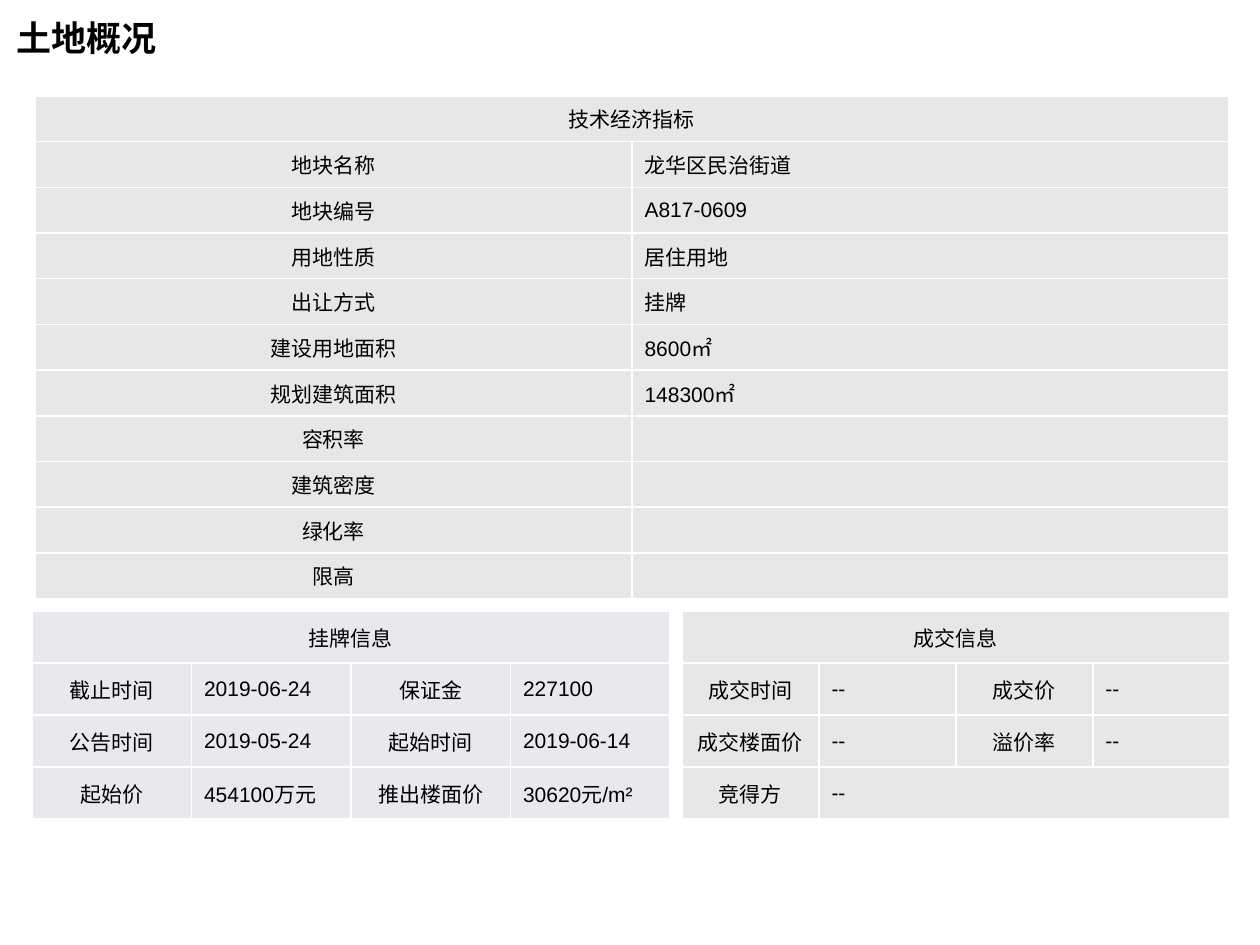
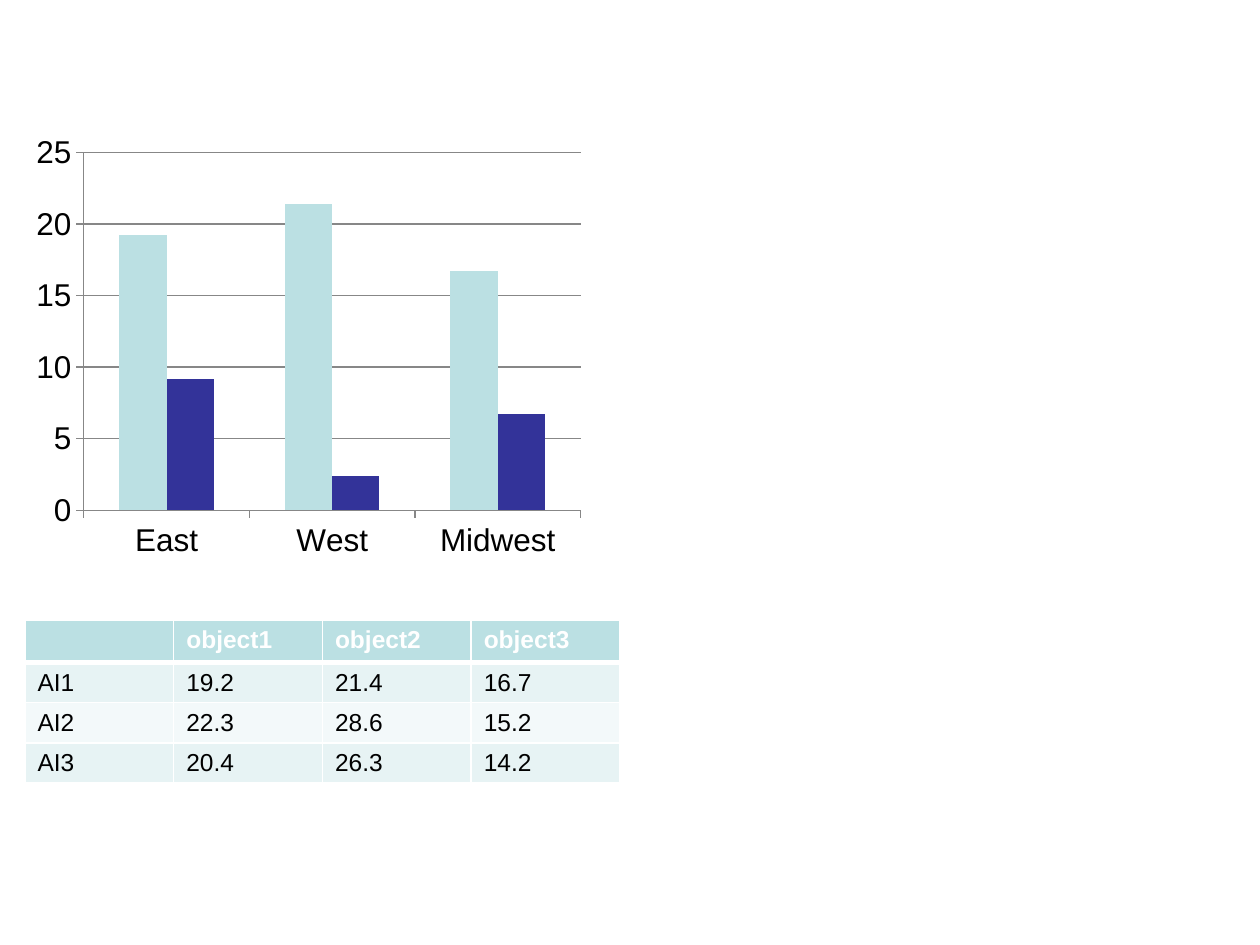
from dataclasses import dataclass

from lxml.etree import SubElement
from pptx import Presentation
from pptx.chart.data import CategoryChartData
from pptx.dml.color import RGBColor
from pptx.enum.chart import XL_CHART_TYPE as ChartType, XL_TICK_MARK as TickMark
from pptx.enum.text import MSO_ANCHOR as Anchor, MSO_AUTO_SIZE as AutoSize, PP_ALIGN as Align
from pptx.oxml import parse_xml
from pptx.oxml.ns import nsdecls, qn
from pptx.util import Emu, Pt

PIXELS_PER_INCH = 126
FONT = "Arial"
BLACK, WHITE = "000000", "FFFFFF"
GRAY, LAVENDER, AXIS_GRAY = "E7E7E7", "E8E8ED", "878787"
AQUA, NAVY = "BBE0E3", "333399"
AQUA_BAND, AQUA_PALE = "E7F3F4", "F3F9FA"


@dataclass(frozen=True)
class Box:
    left: int
    top: int
    width: int
    height: int

    def emu(self) -> tuple[Emu, Emu, Emu, Emu]:
        return px(self.left), px(self.top), px(self.width), px(self.height)


@dataclass(frozen=True)
class Grid:
    box: Box
    columns: int
    rows: list[tuple[str, ...]]
    body_fills: tuple[str, ...]
    header_fill: str
    header_color: str = BLACK
    header_bold: bool = False
    header_rule: int = 1
    size: int = 12
    centered_labels: bool = True


@dataclass(frozen=True)
class Series:
    name: str
    values: tuple[float, ...]
    color: str


LAND_GRID = Grid(
    Box(35, 96, 1194, 503), 2,
    [
        ("技术经济指标",),
        ("地块名称", "龙华区民治街道"),
        ("地块编号", "A817-0609"),
        ("用地性质", "居住用地"),
        ("出让方式", "挂牌"),
        ("建设用地面积", "8600㎡"),
        ("规划建筑面积", "148300㎡"),
        ("容积率", ""),
        ("建筑密度", ""),
        ("绿化率", ""),
        ("限高", ""),
    ],
    (GRAY,), GRAY,
)
DEAL_GRID = Grid(
    Box(682, 611, 548, 208), 4,
    [
        ("成交信息",),
        ("成交时间", "--", "成交价", "--"),
        ("成交楼面价", "--", "溢价率", "--"),
        ("竞得方", "--"),
    ],
    (GRAY,), GRAY,
)
LISTING_GRID = Grid(
    Box(32, 611, 638, 208), 4,
    [
        ("挂牌信息",),
        ("截止时间", "2019-06-24", "保证金", "227100"),
        ("公告时间", "2019-05-24", "起始时间", "2019-06-14"),
        ("起始价", "454100万元", "推出楼面价", "30620元/m²"),
    ],
    (LAVENDER,), LAVENDER,
)
OBJECT_GRID = Grid(
    Box(25, 620, 595, 40), 4,
    [
        ("", "object1", "object2", "object3"),
        ("AI1", "19.2", "21.4", "16.7"),
        ("AI2", "22.3", "28.6", "15.2"),
        ("AI3", "20.4", "26.3", "14.2"),
    ],
    (AQUA_BAND, AQUA_PALE), AQUA,
    header_color=WHITE, header_bold=True, header_rule=3, size=14, centered_labels=False,
)
REGIONS = ("East", "West", "Midwest")
REGION_SERIES = [
    Series("Series 1", (19.2, 21.4, 16.7), AQUA),
    Series("Series 2", (9.2, 2.4, 6.7), NAVY),
]


def px(length: int) -> Emu:
    return Emu(round(length * 914400 / PIXELS_PER_INCH))


def rgb(color: str) -> RGBColor:
    return RGBColor.from_string(color)


def format_font(font, *, size: int, color: str = BLACK, bold: bool = False) -> None:
    font.name = FONT
    font.size = Pt(size)
    font.bold = bold
    font.color.rgb = rgb(color)


def write_text(frame, text: str, *, size: int, color: str = BLACK,
               bold: bool = False, align=Align.LEFT) -> None:
    paragraph = frame.paragraphs[0]
    paragraph.alignment = align
    if text:
        run = paragraph.add_run()
        run.text = text
        format_font(run.font, size=size, color=color, bold=bold)
    else:
        SubElement(paragraph._p, qn("a:endParaRPr"), sz=str(size * 100))


def set_borders(cell, *, top: int = 1, bottom: int = 1) -> None:
    properties = cell._tc.get_or_add_tcPr()
    widths = {"lnL": 1, "lnR": 1, "lnT": top, "lnB": bottom}
    for index, (tag, width) in enumerate(widths.items()):
        properties.insert(index, parse_xml(
            f'<a:{tag} {nsdecls("a")} w="{Pt(width)}"><a:solidFill>'
            f'<a:srgbClr val="{WHITE}"/></a:solidFill></a:{tag}>'))


def add_grid(slide, grid: Grid) -> None:
    table = slide.shapes.add_table(len(grid.rows), grid.columns, *grid.box.emu()).table
    table.first_row = False
    table.horz_banding = False
    last = grid.columns - 1
    for row, texts in enumerate(grid.rows):
        header = row == 0
        fill = grid.header_fill if header else grid.body_fills[(row - 1) % len(grid.body_fills)]
        for column in range(grid.columns):
            cell = table.cell(row, column)
            cell.fill.solid()
            cell.fill.fore_color.rgb = rgb(fill)
            cell.vertical_anchor = Anchor.MIDDLE if grid.centered_labels else Anchor.TOP
            set_borders(cell, top=grid.header_rule if row == 1 else 1,
                        bottom=grid.header_rule if header else 1)
            centered = grid.centered_labels and column % 2 == 0
            write_text(cell.text_frame, texts[column] if column < len(texts) else "",
                       size=grid.size,
                       color=grid.header_color if header else BLACK,
                       bold=header and grid.header_bold,
                       align=Align.CENTER if centered else Align.LEFT)
        if len(texts) < grid.columns:
            table.cell(row, len(texts) - 1).merge(table.cell(row, last))


def add_title(slide, text: str) -> None:
    title = slide.shapes.title
    title.left, title.top, title.width, title.height = Box(4, 10, 955, 59).emu()
    frame = title.text_frame
    frame.auto_size = AutoSize.NONE
    frame.vertical_anchor = Anchor.TOP
    write_text(frame, text, size=20, bold=True)


def style_line(line) -> None:
    line.color.rgb = rgb(AXIS_GRAY)
    line.width = Pt(0.75)


def add_region_chart(slide, box: Box) -> None:
    data = CategoryChartData()
    data.categories = REGIONS
    for series in REGION_SERIES:
        data.add_series(series.name, series.values)
    chart = slide.shapes.add_chart(ChartType.COLUMN_CLUSTERED, *box.emu(), data).chart
    chart.has_legend = False
    chart.has_title = False
    format_font(chart.font, size=18)
    for axis in (chart.category_axis, chart.value_axis):
        axis.major_tick_mark = TickMark.OUTSIDE
        axis.minor_tick_mark = TickMark.NONE
        style_line(axis.format.line)
    values = chart.value_axis
    values.minimum_scale, values.maximum_scale, values.major_unit = 0, 25, 5
    values.has_major_gridlines = True
    style_line(values.major_gridlines.format.line)
    plot = chart.plots[0]
    plot.vary_by_categories = False
    plot.gap_width = 150
    plot.overlap = 0
    for drawn, series in zip(plot.series, REGION_SERIES):
        drawn.invert_if_negative = False
        drawn.format.fill.solid()
        drawn.format.fill.fore_color.rgb = rgb(series.color)


def build_land_slide(presentation) -> None:
    slide = presentation.slides.add_slide(presentation.slide_layouts[5])
    add_title(slide, "土地概况")
    for grid in (LAND_GRID, DEAL_GRID, LISTING_GRID):
        add_grid(slide, grid)


def build_region_slide(presentation) -> None:
    slide = presentation.slides.add_slide(presentation.slide_layouts[6])
    add_region_chart(slide, Box(25, 126, 567, 441))
    add_grid(slide, OBJECT_GRID)


def main() -> None:
    presentation = Presentation()
    presentation.slide_width = px(1260)
    presentation.slide_height = px(945)
    build_land_slide(presentation)
    build_region_slide(presentation)
    presentation.save("out.pptx")


if __name__ == "__main__":
    main()
